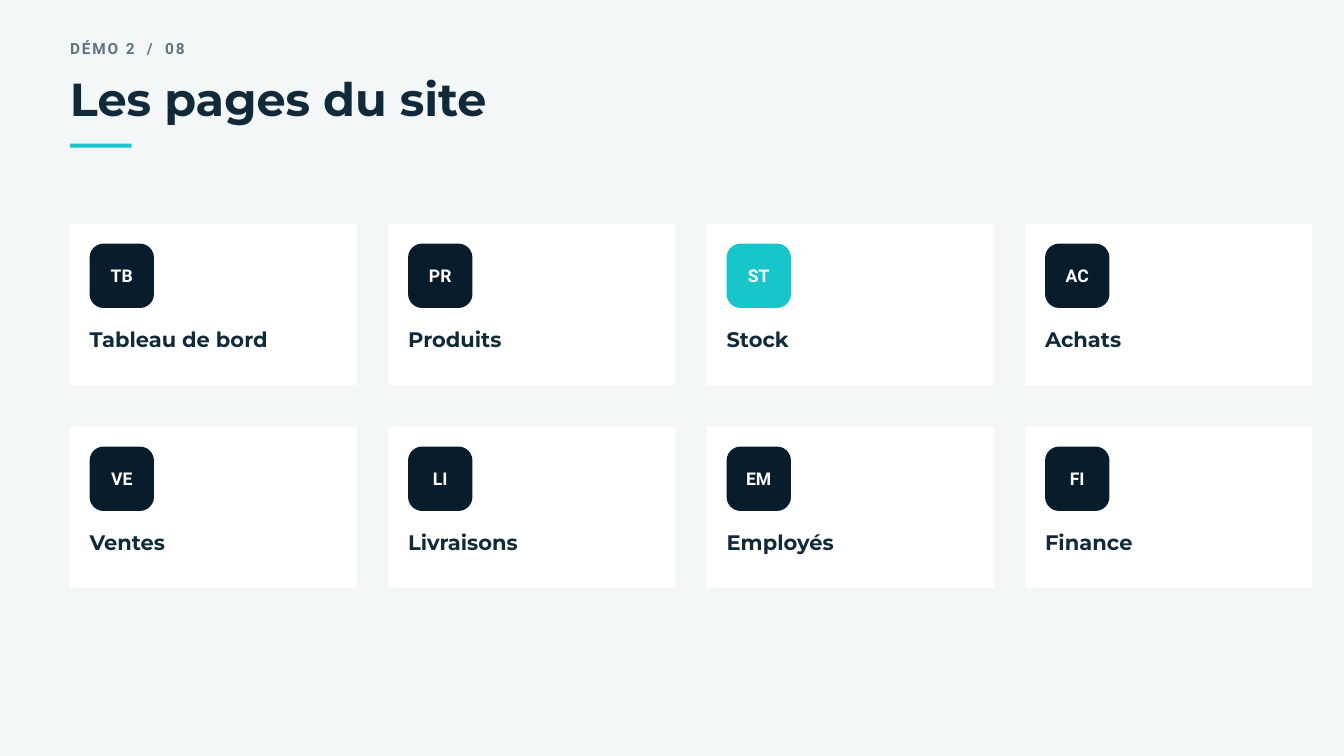
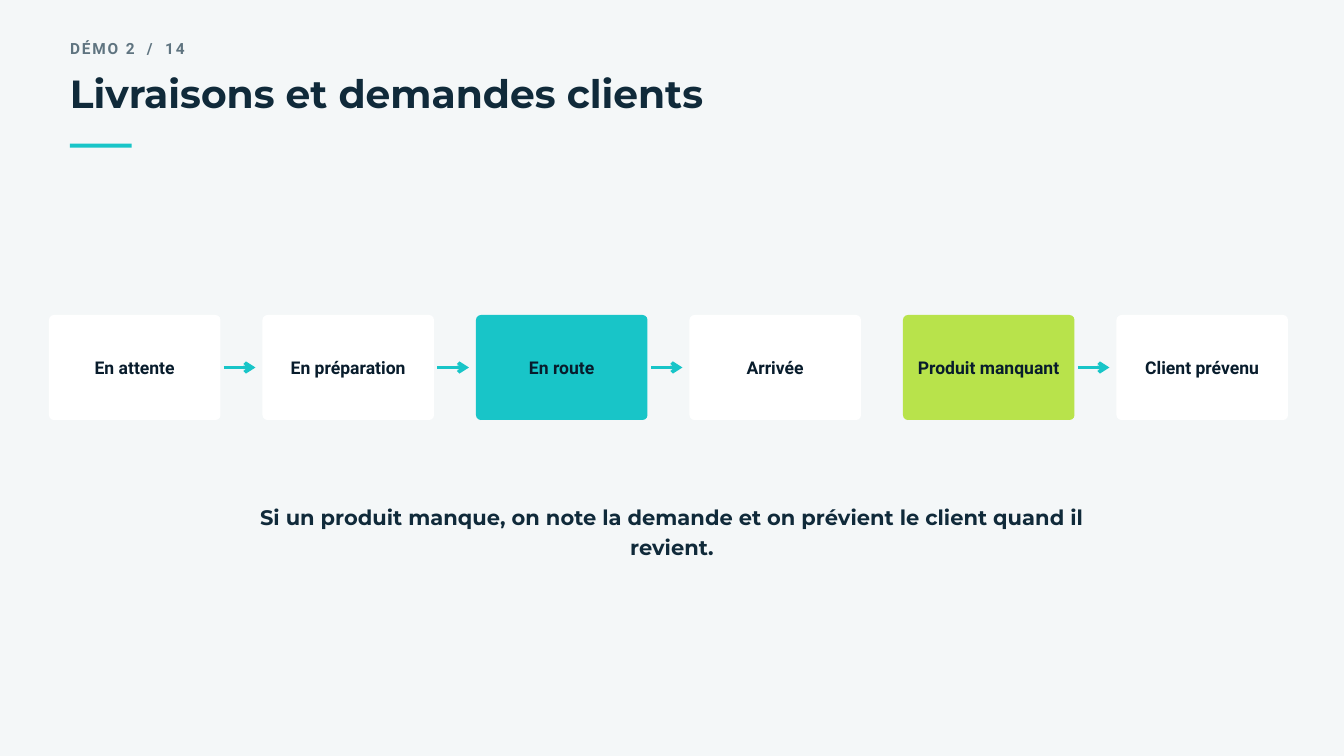
from dataclasses import dataclass

from lxml import etree
from pptx import Presentation
from pptx.dml.color import RGBColor
from pptx.enum.shapes import MSO_CONNECTOR, MSO_SHAPE
from pptx.enum.text import MSO_ANCHOR, PP_ALIGN
from pptx.oxml.ns import qn
from pptx.util import Emu, Pt

RECTANGLE, ROUNDED = MSO_SHAPE.RECTANGLE, MSO_SHAPE.ROUNDED_RECTANGLE
STRAIGHT = MSO_CONNECTOR.STRAIGHT
LEFT, CENTER = PP_ALIGN.LEFT, PP_ALIGN.CENTER
TOP, MIDDLE = MSO_ANCHOR.TOP, MSO_ANCHOR.MIDDLE


@dataclass(frozen=True)
class Theme:
    background: str = "F4F7F8"
    white: str = "FFFFFF"
    ink: str = "102A3A"
    night: str = "081C2C"
    muted: str = "5F7480"
    teal: str = "18C5C8"
    lime: str = "B8E34B"
    heading_font: str = "Montserrat"
    body_font: str = "Roboto"
    kicker_size: float = 16.5
    label_size: float = 22.5
    box_size: float = 18.8
    arrow_width: float = 3.75


THEME = Theme()

# Content
SECTION = "DÉMO 2"
PAGES = {
    "number": "08",
    "title": "Les pages du site",
    "title_top": 110, "title_size": 49.5, "title_leading": 52,
    "active": "ST",
    "cards": [
        ("TB", "Tableau de bord"), ("PR", "Produits"),
        ("ST", "Stock"), ("AC", "Achats"),
        ("VE", "Ventes"), ("LI", "Livraisons"),
        ("EM", "Employés"), ("FI", "Finance"),
    ],
}
DELIVERIES = {
    "number": "14",
    "title": "Livraisons et demandes clients",
    "title_top": 108, "title_size": 42, "title_leading": 44.1,
    # Step, fill, followed by an arrow
    "steps": [
        ("En attente", THEME.white, True),
        ("En préparation", THEME.white, True),
        ("En route", THEME.teal, True),
        ("Arrivée", THEME.white, False),
        ("Produit manquant", THEME.lime, True),
        ("Client prévenu", THEME.white, False),
    ],
    "note": "Si un produit manque, on note la demande et on prévient "
            "le client quand il revient.",
}

# Layout, in px
SLIDE_WIDTH, SLIDE_HEIGHT = 1920, 1080
MARGIN = 100
KICKER_TABS = (110, 136)
COLUMNS = 4
CARD_TOP, CARD_WIDTH, CARD_HEIGHT = 320, 410, 230
CARD_GAP_X, CARD_GAP_Y, CARD_PADDING = 45, 60, 28
BADGE, BADGE_RADIUS, LABEL_OFFSET, LABEL_HEIGHT = 92, 20, 141, 40
STEP_LEFT, STEP_TOP, STEP_WIDTH, STEP_HEIGHT = 70, 450, 245, 150
STEP_GAP, STEP_RADIUS = 60, 7
ARROW_OFFSET, ARROW_LENGTH = 5, 45


def px(value):
    return Emu(value * 9525)


def color(value):
    return RGBColor.from_string(value)


def write(shape, text, *, size, leading, font=THEME.body_font, ink=THEME.ink,
          align=LEFT, anchor=TOP, inset=0, tracking=0, tabs=()):
    """Put one bold paragraph in a shape; tabs are px from its left side."""
    frame = shape.text_frame
    frame.word_wrap = True
    frame.vertical_anchor = anchor
    frame.margin_left = frame.margin_right = px(inset)
    frame.margin_top = frame.margin_bottom = px(inset)
    paragraph = frame.paragraphs[0]
    paragraph.alignment = align
    paragraph.line_spacing = Pt(leading)
    if tabs:
        tab_list = etree.SubElement(paragraph._p.get_or_add_pPr(), qn("a:tabLst"))
        for position in tabs:
            etree.SubElement(tab_list, qn("a:tab"), pos=str(px(position)), algn="l")
    run = paragraph.add_run()
    run.text = text
    run.font.name = font
    run.font.size = Pt(size)
    run.font.bold = True
    run.font.color.rgb = color(ink)
    if tracking:
        run._r.get_or_add_rPr().set("spc", str(tracking * 100))


def add_text(slide, text, left, top, width, height, **text_format):
    box = slide.shapes.add_textbox(px(left), px(top), px(width), px(height))
    write(box, text, **text_format)


def add_box(slide, left, top, width, height, fill, radius=0):
    kind = ROUNDED if radius else RECTANGLE
    shape = slide.shapes.add_shape(kind, px(left), px(top), px(width), px(height))
    if radius:
        shape.adjustments[0] = radius / min(width, height)
    shape.shadow.inherit = False
    shape.fill.solid()
    shape.fill.fore_color.rgb = color(fill)
    shape.line.fill.background()
    return shape


def add_centered_box(slide, text, *place, fill, radius, ink):
    box = add_box(slide, *place, fill, radius)
    write(box, text, size=THEME.box_size, leading=21.6, ink=ink,
          align=CENTER, anchor=MIDDLE, inset=6)


def add_label(slide, text, *place, align=LEFT):
    add_text(slide, text, *place, size=THEME.label_size, leading=31.5,
             font=THEME.heading_font, align=align)


def add_arrow(slide, left, y):
    arrow = slide.shapes.add_connector(
        STRAIGHT, px(left), px(y), px(left + ARROW_LENGTH), px(y))
    arrow.line.color.rgb = color(THEME.teal)
    arrow.line.width = Pt(THEME.arrow_width)
    etree.SubElement(arrow.line._get_or_add_ln(), qn("a:tailEnd"), type="arrow")
    etree.SubElement(arrow._element.spPr, qn("a:effectLst"))


def start_slide(presentation, content):
    """Add a slide with the shared background, kicker, title and accent bar."""
    slide = presentation.slides.add_slide(presentation.slide_layouts[6])
    slide.background.fill.solid()
    slide.background.fill.fore_color.rgb = color(THEME.background)
    add_text(slide, f"{SECTION}\t/\t{content['number']}", MARGIN, 52, 500, 28,
             size=THEME.kicker_size, leading=23.1, ink=THEME.muted,
             tracking=2, tabs=KICKER_TABS)
    add_text(slide, content["title"], MARGIN, content["title_top"], 1500, 70,
             size=content["title_size"], leading=content["title_leading"],
             font=THEME.heading_font)
    add_box(slide, MARGIN, 205, 88, 6, THEME.teal)
    return slide


def build_pages(presentation):
    slide = start_slide(presentation, PAGES)
    for index, (code, name) in enumerate(PAGES["cards"]):
        row, column = divmod(index, COLUMNS)
        left = MARGIN + column * (CARD_WIDTH + CARD_GAP_X)
        top = CARD_TOP + row * (CARD_HEIGHT + CARD_GAP_Y)
        inner_left = left + CARD_PADDING
        add_box(slide, left, top, CARD_WIDTH, CARD_HEIGHT, THEME.white)
        add_centered_box(
            slide, code, inner_left, top + CARD_PADDING, BADGE, BADGE,
            fill=THEME.teal if code == PAGES["active"] else THEME.night,
            radius=BADGE_RADIUS, ink=THEME.white)
        add_label(slide, name, inner_left, top + LABEL_OFFSET,
                  CARD_WIDTH - 2 * CARD_PADDING, LABEL_HEIGHT)


def build_deliveries(presentation):
    slide = start_slide(presentation, DELIVERIES)
    for index, (name, fill, has_arrow) in enumerate(DELIVERIES["steps"]):
        left = STEP_LEFT + index * (STEP_WIDTH + STEP_GAP)
        add_centered_box(slide, name, left, STEP_TOP, STEP_WIDTH, STEP_HEIGHT,
                         fill=fill, radius=STEP_RADIUS, ink=THEME.night)
        if has_arrow:
            add_arrow(slide, left + STEP_WIDTH + ARROW_OFFSET,
                      STEP_TOP + STEP_HEIGHT // 2)
    add_label(slide, DELIVERIES["note"], 360, 715, 1200, 83, align=CENTER)


def main():
    presentation = Presentation()
    presentation.slide_width = px(SLIDE_WIDTH)
    presentation.slide_height = px(SLIDE_HEIGHT)
    build_pages(presentation)
    build_deliveries(presentation)
    presentation.save("out.pptx")


if __name__ == "__main__":
    main()
